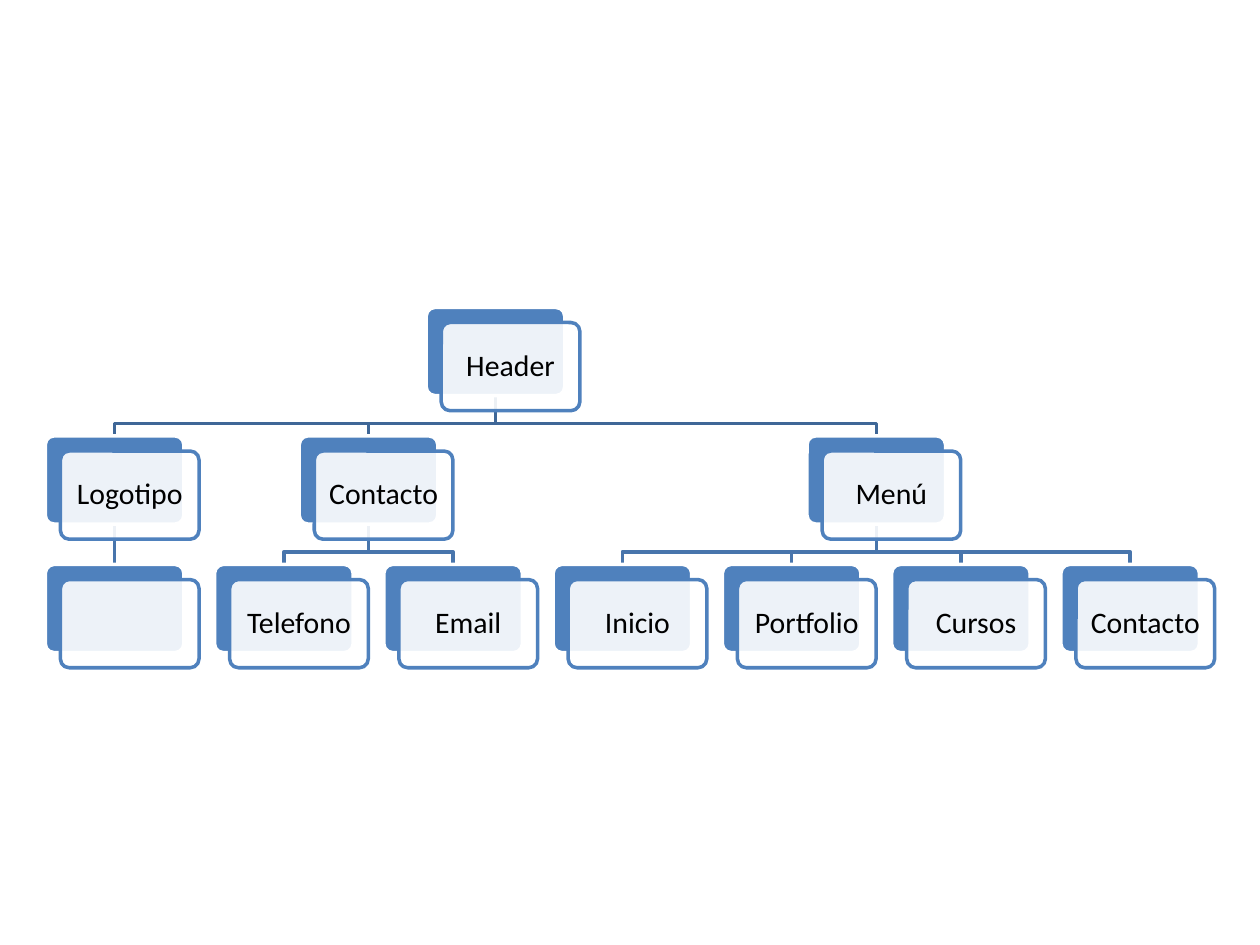
"""Build a slide with the site header hierarchy."""
from pptx import Presentation
from pptx.dml.color import RGBColor
from pptx.enum.shapes import MSO_CONNECTOR as CONN, MSO_SHAPE as SHAPE
from pptx.enum.text import MSO_ANCHOR as ANCHOR, PP_ALIGN as ALIGN
from pptx.oxml.ns import qn
from pptx.util import Inches, Pt
from lxml.etree import SubElement

TREE = ("Header", [
    ("Logotipo", [("", [])]),
    ("Contacto", [("Telefono", []), ("Email", [])]),
    ("Menú", [("Inicio", []), ("Portfolio", []), ("Cursos", []), ("Contacto", [])]),
])
WIDE, HIGH = 1.1, 0.7
LEFT, TOP = 0.91, 2.44
STEP, DROP = 8.06 / 6, 1.02
SHIFT = 0.12
BLUE = "4F81BD"
LINKS = ["3F6797", "4875AC"]


def color(code):
    """Turn a hex string into a colour."""
    return RGBColor.from_string(code)


def stroke(shape, code):
    """Give a shape or connector a solid outline."""
    shape.line.color.rgb = color(code)
    shape.line.width = Pt(2)


def place(node, depth, slots, nodes, links):
    """Collect the nodes and links of a subtree and return its centre."""
    name, kids = node
    spots = [place(kid, depth + 1, slots, nodes, links) for kid in kids]
    mid = (spots[0] + spots[-1]) / 2 if spots else LEFT + STEP * next(slots)
    nodes.append((name, mid, TOP + DROP * depth))
    links.extend((mid, spot, depth) for spot in spots)
    return mid


def add_link(slide, start, end, depth):
    """Draw a link from a parent down to a child."""
    top = TOP + DROP * depth + HIGH
    low = TOP + DROP * (depth + 1)
    if start == end:
        link = slide.shapes.add_connector(
            CONN.STRAIGHT, Inches(start), Inches(top), Inches(end), Inches(low))
        SubElement(link._element.spPr, qn("a:effectLst"))
    else:
        bend = top + 0.22
        pen = slide.shapes.build_freeform(Inches(start), Inches(top))
        points = [(start, bend), (end, bend), (end, low)]
        pen.add_line_segments([(Inches(x), Inches(y)) for x, y in points], close=False)
        link = pen.convert_to_shape()
        link.fill.background()
        link.shadow.inherit = False
    stroke(link, LINKS[depth])


def add_card(slide, left, top, fill, line):
    """Draw one rounded card."""
    card = slide.shapes.add_shape(
        SHAPE.ROUNDED_RECTANGLE, Inches(left), Inches(top), Inches(WIDE), Inches(HIGH))
    card.adjustments[0] = 0.1
    card.shadow.inherit = False
    card.fill.solid()
    card.fill.fore_color.rgb = color(fill)
    stroke(card, line)
    return card


def add_text(card, text):
    """Write a centred label on a card."""
    frame = card.text_frame
    frame.word_wrap = True
    frame.vertical_anchor = ANCHOR.MIDDLE
    frame.margin_left = frame.margin_right = Inches(0.09)
    frame.margin_top = frame.margin_bottom = Inches(0.09)
    para = frame.paragraphs[0]
    para.text = text
    para.alignment = ALIGN.CENTER
    para.line_spacing = 0.9
    para.font.name = "Calibri"
    para.font.size = Pt(17)
    para.font.color.rgb = color("000000")


def add_node(slide, name, mid, top):
    """Draw a blue card with a translucent label card over it."""
    left = mid - WIDE / 2
    add_card(slide, left, top, BLUE, "FFFFFF")
    front = add_card(slide, left + SHIFT, top + SHIFT, "FFFFFF", BLUE)
    tint = front._element.spPr.find(qn("a:solidFill"))[0]
    SubElement(tint, qn("a:alpha"), val="90000")
    if name:
        add_text(front, name)


def main():
    """Build and save the slide."""
    deck = Presentation()
    deck.slide_width, deck.slide_height = Inches(10), Inches(7.5)
    slide = deck.slides.add_slide(deck.slide_layouts[6])
    nodes, links = [], []
    place(TREE, 0, iter(range(7)), nodes, links)
    for link in links:
        add_link(slide, *link)
    for node in reversed(nodes):
        add_node(slide, *node)
    deck.save("out.pptx")


main()
